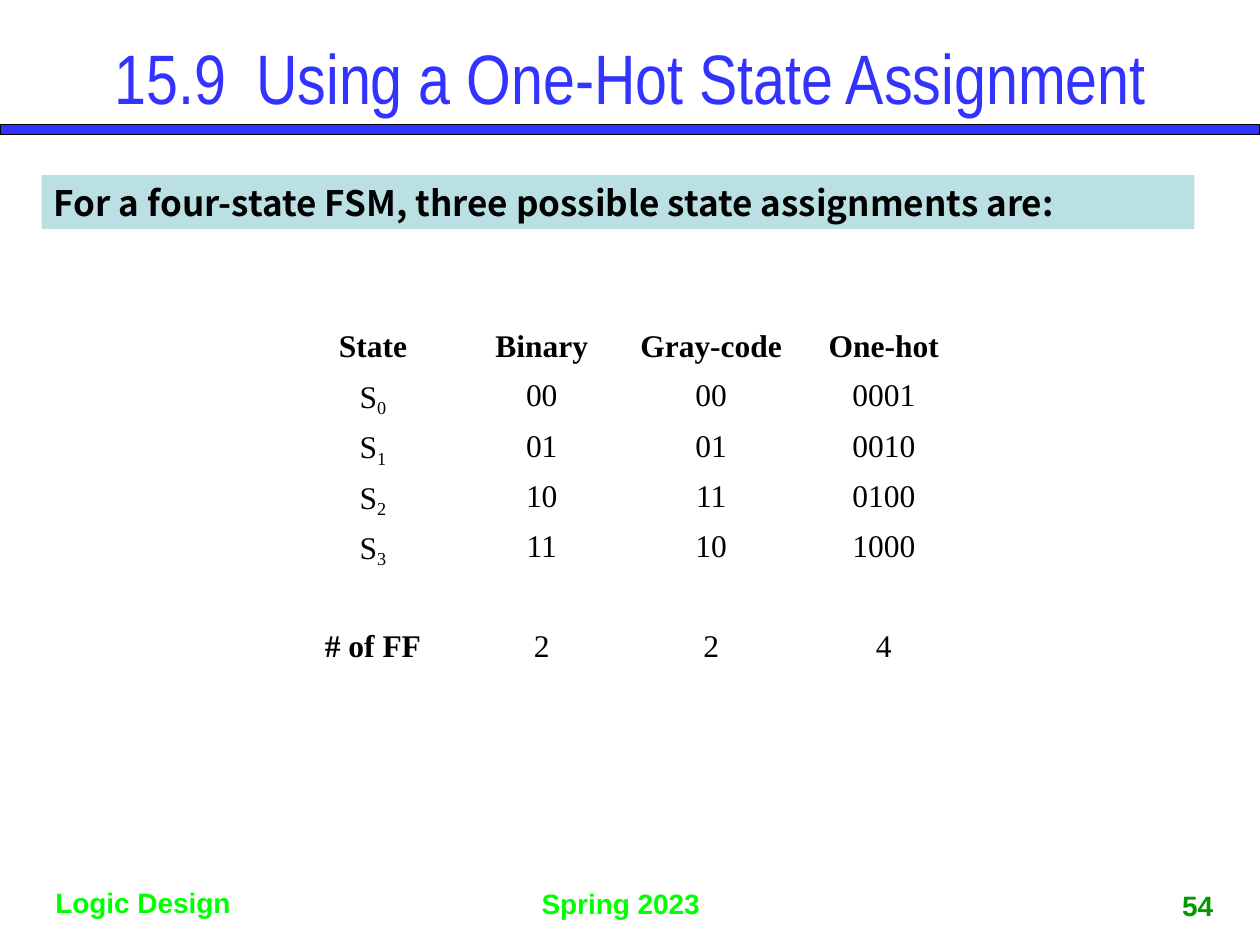
"""Build the slide on one-hot state assignment."""
from pptx import Presentation
from pptx.dml.color import RGBColor
from pptx.enum.shapes import MSO_SHAPE
from pptx.enum.text import MSO_ANCHOR, MSO_AUTO_SIZE, PP_ALIGN
from pptx.util import Inches, Pt


def color(value):
    return RGBColor.from_string(value)


def write(frame, text, size=18, font="Times New Roman", fill="000000", bold=False,
          align=PP_ALIGN.CENTER, anchor=MSO_ANCHOR.TOP, subscript=""):
    frame.word_wrap = True
    frame.vertical_anchor = anchor
    paragraph = frame.paragraphs[0]
    paragraph.alignment = align
    for part, baseline in ((text, 0), (subscript, -20000)):
        if part:
            run = paragraph.add_run()
            run.text = part
            run.font.size = Pt(size)
            run.font.name = font
            run.font.bold = bold
            run.font.color.rgb = color(fill)
            if baseline:
                run._r.get_or_add_rPr().set("baseline", str(baseline))
    return paragraph


presentation = Presentation()
presentation.slide_width = Inches(10)
presentation.slide_height = Inches(7.5)
slide = presentation.slides.add_slide(presentation.slide_layouts[5])

title = slide.shapes.title
title.left, title.top = Inches(0.5), Inches(0.3)
title.width, title.height = Inches(9), Inches(0.61)
title.text_frame.auto_size = MSO_AUTO_SIZE.NONE
write(title.text_frame, "15.9\t Using a One-Hot State Assignment", size=40,
      font="Arial Narrow", fill="3333FF", anchor=MSO_ANCHOR.MIDDLE)

title_rule = slide.shapes.add_shape(
    MSO_SHAPE.RECTANGLE, Inches(0), Inches(0.99), Inches(10), Inches(0.08))
title_rule.shadow.inherit = False
title_rule.fill.solid()
title_rule.fill.fore_color.rgb = color("3333FF")
title_rule.line.color.rgb = color("000000")
title_rule.line.width = Pt(0.75)

banner = slide.shapes.add_shape(
    MSO_SHAPE.RECTANGLE, Inches(0.33), Inches(1.39), Inches(9.15), Inches(0.43))
banner.shadow.inherit = False
banner.fill.solid()
banner.fill.fore_color.rgb = color("BBE0E3")
banner.line.fill.background()
write(banner.text_frame, "For a four-state FSM, three possible state assignments are:",
      size=20, font="Noto Sans CJK KR", bold=True, align=PP_ALIGN.LEFT,
      anchor=MSO_ANCHOR.MIDDLE)

rows = [
    ("State", "Binary", "Gray-code", "One-hot"),
    ("S0", "00", "00", "0001"),
    ("S1", "01", "01", "0010"),
    ("S2", "10", "11", "0100"),
    ("S3", "11", "10", "1000"),
    ("", "", "", ""),
    ("# of FF", "2", "2", "4"),
]
column_widths = (1.34, 1.34, 1.35, 1.39)
table = slide.shapes.add_table(
    len(rows), len(column_widths), Inches(2.29), Inches(2.57),
    Inches(sum(column_widths)), Inches(2.73)).table
table.horz_banding = False
for column, width in zip(table.columns, column_widths):
    column.width = Inches(width)
for row_index, row in enumerate(rows):
    table.rows[row_index].height = Inches(0.39)
    for column_index, text in enumerate(row):
        cell = table.cell(row_index, column_index)
        cell.fill.solid()
        cell.fill.fore_color.rgb = color("FFFFFF")
        cell.margin_left = cell.margin_right = Inches(0.09)
        cell.margin_top = Inches(0.06 if text else 0)
        cell.margin_bottom = Inches(0.05 if text else 0)
        is_state = column_index == 0 and text.startswith("S") and text != "State"
        paragraph = write(cell.text_frame, text[0] if is_state else text,
                          subscript=text[1:] if is_state else "",
                          bold=text in rows[0] or text == "# of FF")
        paragraph.line_spacing = 0.95

footers = [
    ("Logic Design", 0.27, 6.98, 1.73, 0.37, "00FF00", PP_ALIGN.CENTER, MSO_ANCHOR.TOP),
    ("Spring 2023", 4.2, 6.99, 1.59, 0.37, "00FF00", PP_ALIGN.LEFT, MSO_ANCHOR.TOP),
    ("54", 9.13, 6.9, 0.75, 0.47, "009900", PP_ALIGN.CENTER, MSO_ANCHOR.BOTTOM),
]
for text, left, top, width, height, fill, align, anchor in footers:
    footer = slide.shapes.add_textbox(
        Inches(left), Inches(top), Inches(width), Inches(height))
    write(footer.text_frame, text, size=16, font="Arial", fill=fill, bold=True,
          align=align, anchor=anchor)

presentation.save("out.pptx")
